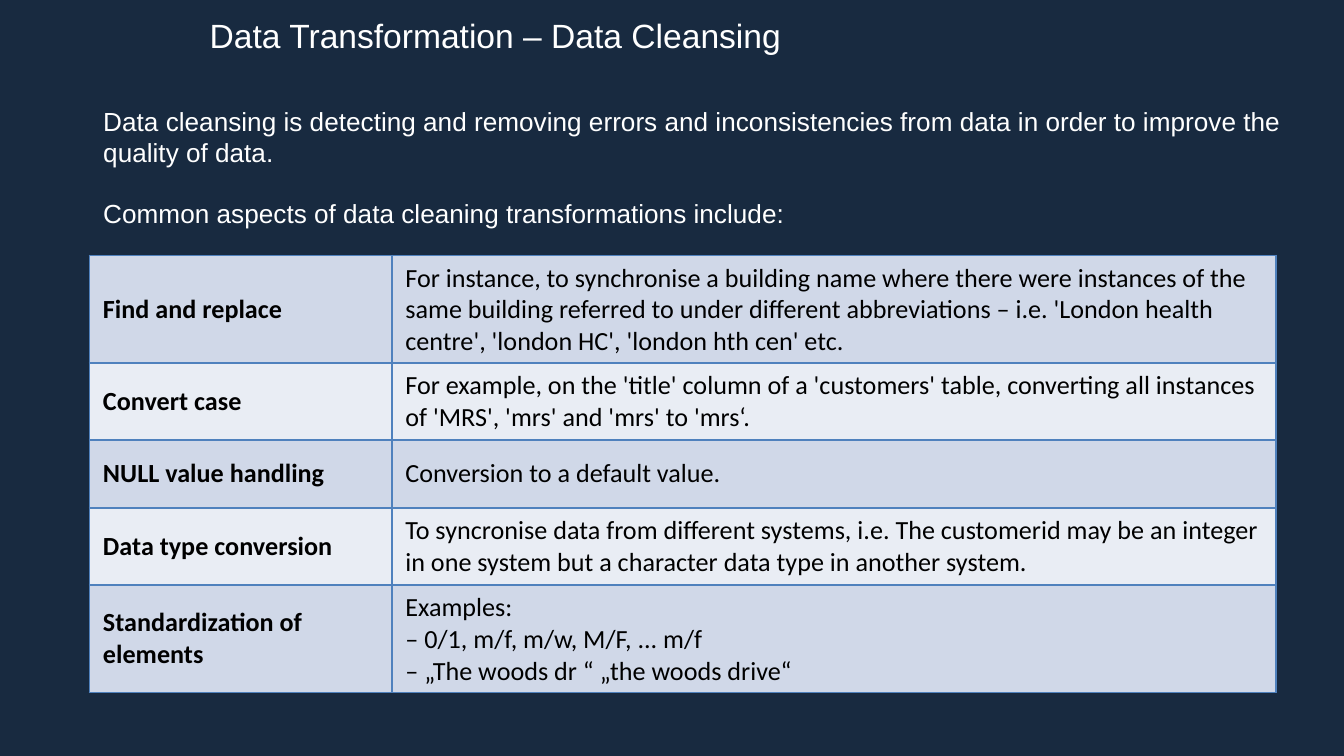
from lxml import etree
from pptx import Presentation
from pptx import util as u
from pptx.dml.color import RGBColor
from pptx.enum import text
from pptx.oxml.ns import qn

WIDTH = u.Inches(10)
HEIGHT = u.Emu(WIDTH * 9 // 16)
COLORS = {"background": "182A40", "light": "FFFFFF", "dark": "000000",
          "odd": "D0D8E8", "even": "E9EDF4", "border": "4F81BD"}
ASPECTS = [
    ("Find and replace",
     ["For instance, to synchronise a building name where there were instances of the same "
      "building referred to under different abbreviations – i.e. 'London health centre', "
      "'london HC', 'london hth cen' etc."], 0.8),
    ("Convert case",
     ["For example, on the 'title' column of a 'customers' table, converting all instances "
      "of 'MRS', 'mrs' and 'mrs' to 'mrs‘."], 0.57),
    ("NULL value handling", ["Conversion to a default value."], 0.51),
    ("Data type conversion",
     ["To syncronise data from different systems, i.e. The customerid may be an integer in "
      "one system but a character data type in another system."], 0.57),
    ("Standardization of elements",
     ["Examples:", "– 0/1, m/f, m/w, M/F, ... m/f", "– „The woods dr “ „the woods drive“"], 0.8),
]


def share(left, top, width, height):
    """Turn percentages of the slide's size into a box."""
    return tuple(int(part * side / 100) for part, side in
                 zip((left, top, width, height), (WIDTH, HEIGHT, WIDTH, HEIGHT)))


def rgb(name):
    """Look up a colour by its role."""
    return RGBColor.from_string(COLORS[name])


def write(tf, lines, size=14, font="Arial", color="light", bold=False, gap=0):
    """Write one paragraph for each line, with a gap between them."""
    for i, line in enumerate(lines):
        p = tf.add_paragraph() if i else tf.paragraphs[0]
        p.alignment = text.PP_ALIGN.LEFT
        p.space_before = u.Pt(gap if i else 0)
        r = p.add_run()
        r.text = line
        r.font.size, r.font.name, r.font.bold = u.Pt(size), font, bold
        r.font.color.rgb = rgb(color)


def add_title(s, box, line):
    """Place and format the title placeholder."""
    sp = s.shapes.title
    sp.left, sp.top, sp.width, sp.height = box
    tf = sp.text_frame
    tf.word_wrap = False
    tf.auto_size = text.MSO_AUTO_SIZE.SHAPE_TO_FIT_TEXT
    tf.vertical_anchor = text.MSO_ANCHOR.TOP
    write(tf, [line], size=18)


def add_intro(s, box, lines):
    """Add the introductory paragraphs."""
    tf = s.shapes.add_textbox(*box).text_frame
    tf.word_wrap = True
    tf.auto_size = text.MSO_AUTO_SIZE.SHAPE_TO_FIT_TEXT
    write(tf, lines, gap=16)


def set_borders(cell):
    """Draw a thin line on each side of a cell."""
    tc_pr = cell._tc.get_or_add_tcPr()
    for i, side in enumerate(("a:lnL", "a:lnR", "a:lnT", "a:lnB")):
        ln = etree.Element(qn(side), w=str(u.Pt(1)))
        fill = etree.SubElement(ln, qn("a:solidFill"))
        etree.SubElement(fill, qn("a:srgbClr"), val=COLORS["border"])
        tc_pr.insert(i, ln)


def add_aspects(s, box, aspects):
    """Add the table of aspects, one row each, filling the box."""
    table = s.shapes.add_table(len(aspects), 2, *box).table
    table.first_row = False
    total = sum(weight for *_, weight in aspects)
    for column, part in zip(table.columns, (2.25, 6.58)):
        column.width = int(box[2] * part / 8.83)
    for i, (name, lines, weight) in enumerate(aspects):
        table.rows[i].height = int(box[3] * weight / total)
        for j, content in enumerate(([name], lines)):
            cell = table.cell(i, j)
            cell.vertical_anchor = text.MSO_ANCHOR.MIDDLE
            cell.fill.solid()
            cell.fill.fore_color.rgb = rgb("even" if i % 2 else "odd")
            set_borders(cell)
            write(cell.text_frame, content, font="Calibri", color="dark", bold=j == 0)


def main():
    """Build the slide and save it."""
    prs = Presentation()
    prs.slide_width, prs.slide_height = WIDTH, HEIGHT
    s = prs.slides.add_slide(prs.slide_layouts[5])
    s.background.fill.solid()
    s.background.fill.fore_color.rgb = rgb("background")
    add_title(s, share(14.6, 1.1, 44.9, 7.1), "Data Transformation – Data Cleansing")
    add_intro(s, share(6.7, 13, 90, 18.5), [
        "Data cleansing is detecting and removing errors and inconsistencies from data "
        "in order to improve the quality of data.",
        "Common aspects of data cleaning transformations include:"])
    add_aspects(s, share(6.66, 33.8, 88.3, 57.8), ASPECTS)
    prs.save("out.pptx")


if __name__ == "__main__":
    main()
